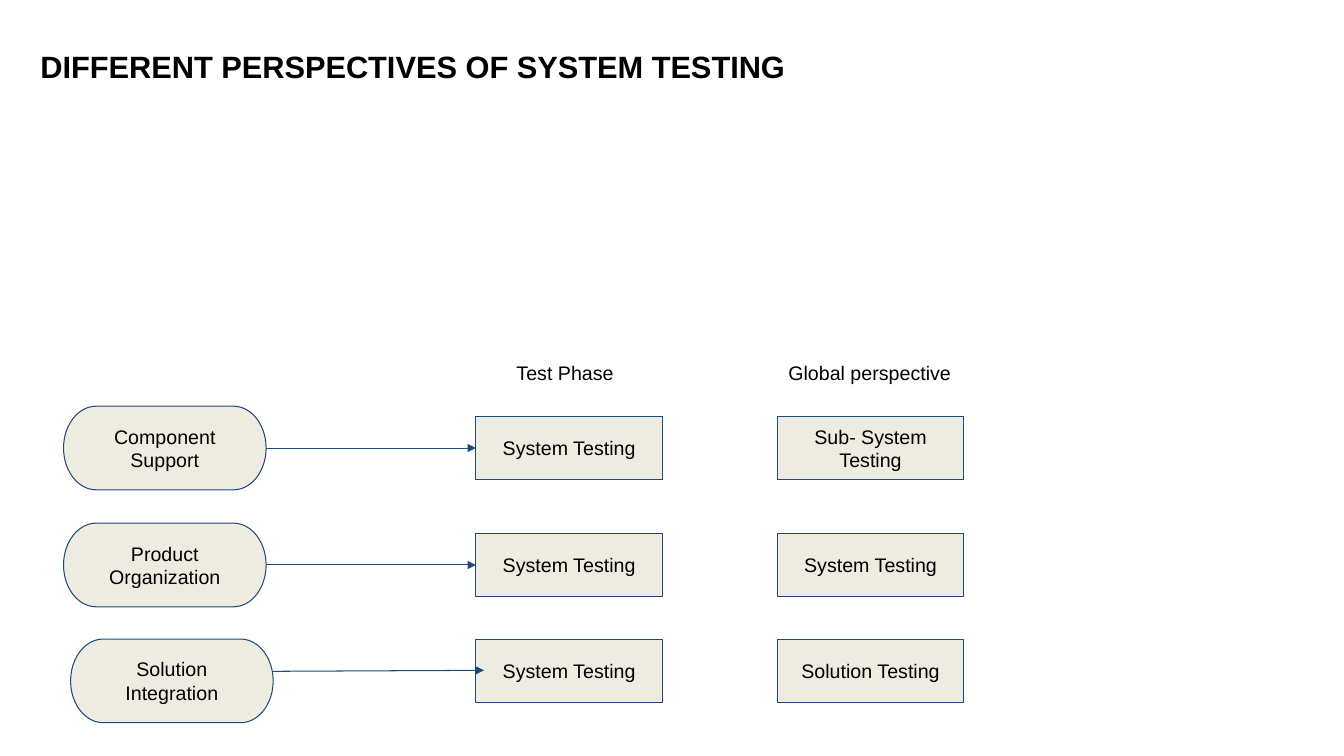
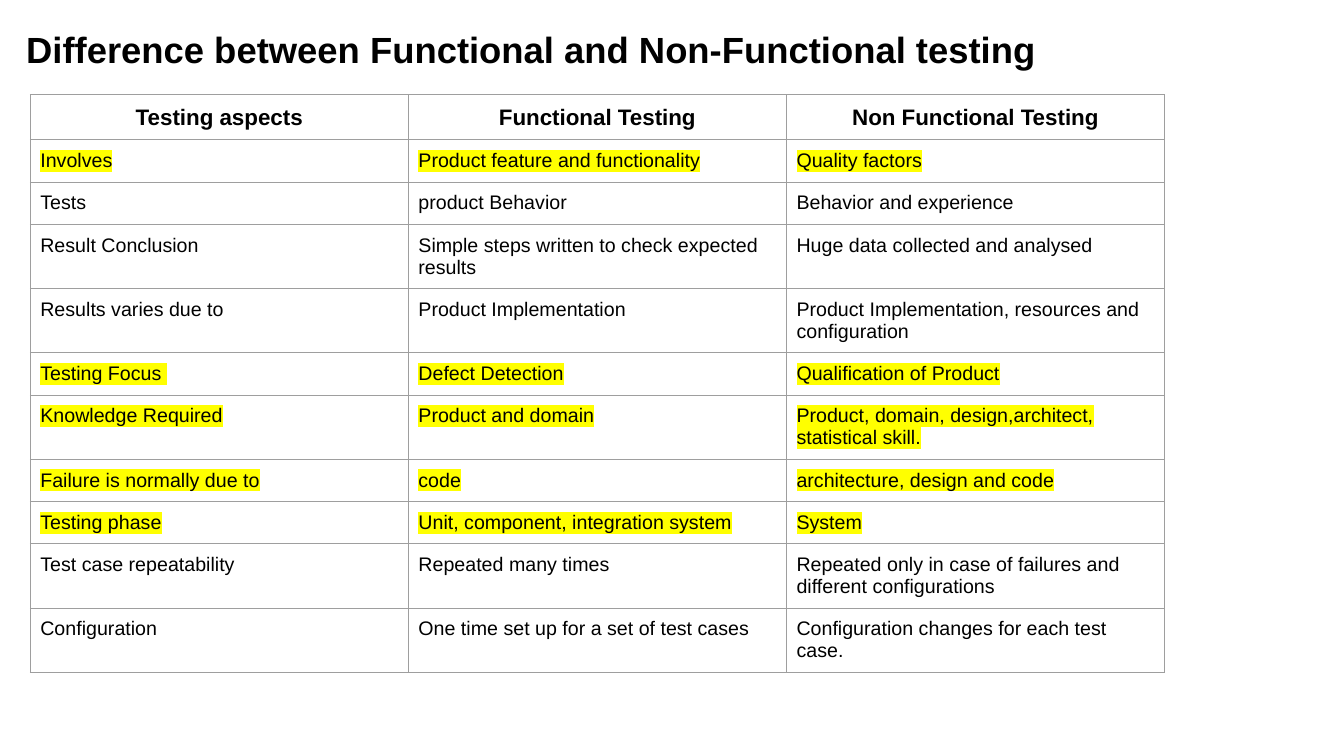
from dataclasses import dataclass

from lxml import etree
from pptx import Presentation
from pptx.dml.color import RGBColor
from pptx.enum.shapes import MSO_CONNECTOR, MSO_SHAPE
from pptx.enum.text import MSO_ANCHOR, MSO_AUTO_SIZE, PP_ALIGN
from pptx.oxml.ns import qn
from pptx.util import Pt

PX = 9144  # one px is a hundredth of an inch
LEFT, CENTER = PP_ALIGN.LEFT, PP_ALIGN.CENTER
TOP, MIDDLE = MSO_ANCHOR.TOP, MSO_ANCHOR.MIDDLE
NO_AUTOFIT = MSO_AUTO_SIZE.NONE
STRAIGHT = MSO_CONNECTOR.STRAIGHT
TERMINATOR, RECTANGLE = MSO_SHAPE.FLOWCHART_TERMINATOR, MSO_SHAPE.RECTANGLE
LEFT_SIDE, RIGHT_SIDE = 1, 3


@dataclass(frozen=True)
class Theme:
    font: str = "Arial"
    text: str = "000000"
    box: str = "EEECE1"
    outline: str = "1F497D"
    grid: str = "9E9E9E"
    highlight: str = "FFFF00"
    body: int = 14
    table_head: int = 16
    line: float = 0.75
    inset: int = 10


THEME = Theme()


def px(*lengths):
    return [length * PX for length in lengths]


def write(holder, text, size=THEME.body, align=LEFT, bold=False, anchor=TOP):
    """Fill a text frame or table cell; both carry margins and an anchor."""
    for side in ("left", "right", "top", "bottom"):
        setattr(holder, f"margin_{side}", THEME.inset * PX)
    holder.vertical_anchor = anchor
    frame = getattr(holder, "text_frame", holder)
    frame.word_wrap = True
    paragraph = frame.paragraphs[0]
    paragraph.alignment = align
    run = paragraph.add_run()
    run.text = text
    run.font.color.rgb = RGBColor.from_string(THEME.text)
    for name, value in {"name": THEME.font, "size": Pt(size), "bold": bold}.items():
        setattr(run.font, name, value)
    return run


deck = Presentation()
deck.slide_width, deck.slide_height = px(1333, 750)
title_only = deck.slide_layouts.get_by_name("Title Only")

slides = []
for heading, size, place in [
    ("DIFFERENT PERSPECTIVES OF SYSTEM TESTING", 22, (30, 37, 956, 56)),
    ("Difference between Functional and Non-Functional testing", 26, (16, 17, 1119, 64)),
]:
    slide = deck.slides.add_slide(title_only)
    title = slide.shapes.title
    title.left, title.top, title.width, title.height = px(*place)
    title.text_frame.auto_size = NO_AUTOFIT
    write(title.text_frame, heading, size, bold=True)
    slides.append(slide)
perspectives, comparison = slides

# Perspectives: one row per owner, with its test phase and global perspective
PHASE_LEFT, GLOBAL_LEFT = 472, 771
BOX_WIDTH, BOX_HEIGHT = 185, 63
OWNER_WIDTH, OWNER_HEIGHT = 201, 83

for label, left, width, align in [
    ("Test Phase", 464, 193, CENTER),
    ("Global perspective", 772, 185, LEFT),
]:
    column_label = perspectives.shapes.add_textbox(*px(left, 348, width, 44))
    write(column_label.text_frame, label, align=align)

for owner, owner_left, owner_top, box_top, view, joined in [
    ("Component Support", 63, 403, 413, "Sub- System Testing", True),
    ("Product Organization", 63, 519, 529, "System Testing", True),
    ("Solution Integration", 70, 634, 634, "Solution Testing", False),
]:
    row = []
    for kind, text, left, top, width, height in [
        (TERMINATOR, owner, owner_left, owner_top, OWNER_WIDTH, OWNER_HEIGHT),
        (RECTANGLE, "System Testing", PHASE_LEFT, box_top, BOX_WIDTH, BOX_HEIGHT),
        (RECTANGLE, view, GLOBAL_LEFT, box_top, BOX_WIDTH, BOX_HEIGHT),
    ]:
        box = perspectives.shapes.add_shape(kind, *px(left, top, width, height))
        box.shadow.inherit = False
        box.fill.solid()
        box.fill.fore_color.rgb = RGBColor.from_string(THEME.box)
        box.line.color.rgb = RGBColor.from_string(THEME.outline)
        box.line.width = Pt(THEME.line)
        write(box.text_frame, text, align=CENTER, anchor=MIDDLE)
        row.append(box)

    arrow = perspectives.shapes.add_connector(
        STRAIGHT, *px(owner_left + OWNER_WIDTH, box_top + 32, 480, box_top + 31))
    if joined:
        arrow.begin_connect(row[0], RIGHT_SIDE)
        arrow.end_connect(row[1], LEFT_SIDE)
    arrow.line.color.rgb = RGBColor.from_string(THEME.outline)
    arrow.line.width = Pt(THEME.line)
    etree.SubElement(arrow.line._get_or_add_ln(), qn("a:tailEnd"), type="triangle")
    etree.SubElement(arrow._element.spPr, qn("a:effectLst"))

# Comparison: each row is its texts and whether they are highlighted
HEAD_HEIGHT, ONE_LINE, TWO_LINES = 44, 41, 63
ASPECTS = [
    (HEAD_HEIGHT, False, "Testing aspects", "Functional Testing", "Non Functional Testing"),
    (ONE_LINE, True, "Involves", "Product feature and functionality", "Quality factors"),
    (ONE_LINE, False, "Tests", "product Behavior", "Behavior and experience"),
    (TWO_LINES, False, "Result Conclusion",
     "Simple steps written to check expected results", "Huge data collected and analysed"),
    (TWO_LINES, False, "Results varies due to", "Product Implementation",
     "Product Implementation, resources and configuration"),
    (ONE_LINE, True, "Testing Focus ", "Defect Detection", "Qualification of Product"),
    (TWO_LINES, True, "Knowledge Required", "Product and domain",
     "Product, domain, design,architect, statistical skill."),
    (ONE_LINE, True, "Failure is normally due to", "code", "architecture, design and code"),
    (ONE_LINE, True, "Testing phase", "Unit, component, integration system", "System"),
    (TWO_LINES, False, "Test case repeatability", "Repeated many times",
     "Repeated only in case of failures and different configurations"),
    (TWO_LINES, False, "Configuration", "One time set up for a set of test cases",
     "Configuration changes for each test case."),
]

aspects = comparison.shapes.add_table(len(ASPECTS), 3, *px(30, 94, 1125, 597)).table
aspects.first_row = aspects.horz_banding = False
for column in aspects.columns:
    column.width = 375 * PX

for row_number, (height, highlighted, *texts) in enumerate(ASPECTS):
    aspects.rows[row_number].height = height * PX
    for column_number, text in enumerate(texts):
        cell = aspects.cell(row_number, column_number)
        if row_number == 0:
            write(cell, text, THEME.table_head, CENTER, bold=True)
        else:
            run = write(cell, text)
        if highlighted:
            highlight = etree.Element(qn("a:highlight"))
            etree.SubElement(highlight, qn("a:srgbClr"), val=THEME.highlight)
            run.font._element.find(qn("a:solidFill")).addnext(highlight)
        cell.fill.background()
        borders = cell._tc.get_or_add_tcPr()
        for position, side in enumerate(("lnL", "lnR", "lnT", "lnB")):
            border = etree.Element(qn(f"a:{side}"), w=str(Pt(THEME.line)))
            color = etree.SubElement(border, qn("a:solidFill"))
            etree.SubElement(color, qn("a:srgbClr"), val=THEME.grid)
            borders.insert(position, border)

deck.save("out.pptx")
